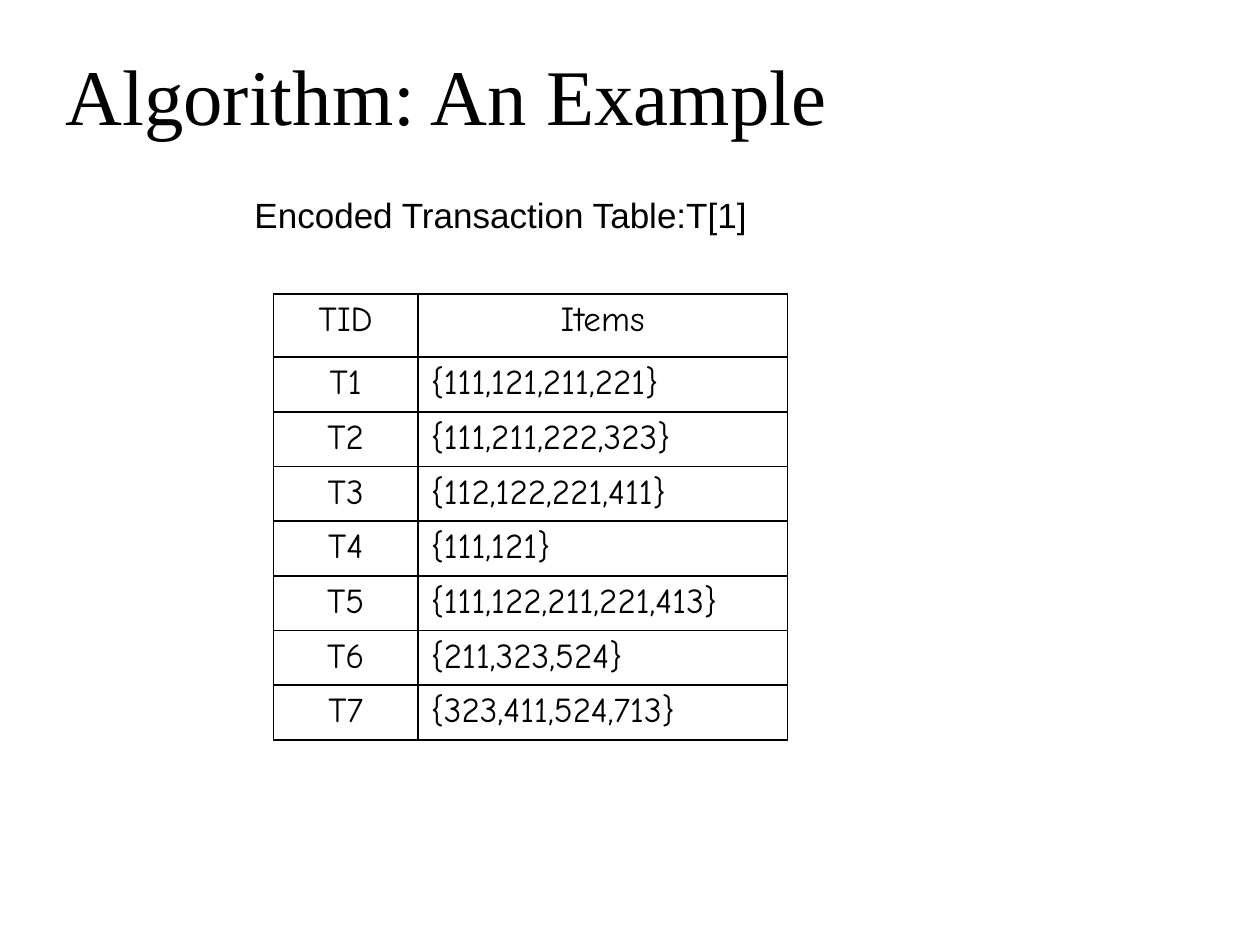
import pptx
import pptx.util
import pptx.dml.color
import pptx.enum.text
import pptx.oxml
import pptx.oxml.ns
from pptx.util import Cm

COLORS = {"ink": "000000", "paper": "FFFFFF"}
TRANSACTIONS = [
    ("TID", "Items"),
    ("T1", "{111,121,211,221}"),
    ("T2", "{111,211,222,323}"),
    ("T3", "{112,122,221,411}"),
    ("T4", "{111,121}"),
    ("T5", "{111,122,211,221,413}"),
    ("T6", "{211,323,524}"),
    ("T7", "{323,411,524,713}"),
]


def write(frame, text, font, size):
    frame.word_wrap = True
    para = frame.paragraphs[0]
    para.text = text
    para.font.name = font
    para.font.size = pptx.util.Pt(size)
    para.font.color.rgb = pptx.dml.color.RGBColor.from_string(COLORS["ink"])
    return para


def add_borders(cell):
    properties = cell._tc.get_or_add_tcPr()
    for index, side in enumerate(("lnL", "lnR", "lnT", "lnB")):
        border = pptx.oxml.parse_xml(
            f'<a:{side} {pptx.oxml.ns.nsdecls("a")} w="12700"><a:solidFill>'
            f'<a:srgbClr val="{COLORS["ink"]}"/></a:solidFill></a:{side}>'
        )
        properties.insert(index, border)


deck = pptx.Presentation()
deck.slide_width = Cm(25.4)
deck.slide_height = Cm(19.05)
page = deck.slides.add_slide(deck.slide_layouts[6])
page.background.fill.solid()
page.background.fill.fore_color.rgb = pptx.dml.color.RGBColor.from_string(COLORS["paper"])

caption = page.shapes.add_textbox(Cm(4.88), Cm(3.61), Cm(11.86), Cm(1.55))
caption.text_frame.vertical_anchor = pptx.enum.text.MSO_ANCHOR.MIDDLE
para = write(caption.text_frame, "Encoded Transaction Table:T[1]", "Arial", 20)
para.line_spacing = 0.9

frame = page.shapes.add_table(len(TRANSACTIONS), 2, Cm(5.51), Cm(5.93), Cm(10.36), Cm(8.76))
table = frame.table
table.columns[0].width = Cm(2.92)
table.columns[1].width = Cm(7.44)
for row_index, values in enumerate(TRANSACTIONS):
    table.rows[row_index].height = Cm(1.27 if row_index == 0 else 1.07)
    for column_index, value in enumerate(values):
        cell = table.cell(row_index, column_index)
        cell.fill.background()
        add_borders(cell)
        para = write(cell.text_frame, value, "Comic Neue", 20)
        if row_index == 0 or column_index == 0:
            para.alignment = pptx.enum.text.PP_ALIGN.CENTER

title = page.shapes.add_textbox(Cm(1.07), Cm(0.64), Cm(20.52), Cm(3.18))
title.text_frame.margin_top = Cm(0.3)
write(title.text_frame, "Algorithm: An Example", "Times New Roman", 45)

deck.save("out.pptx")
